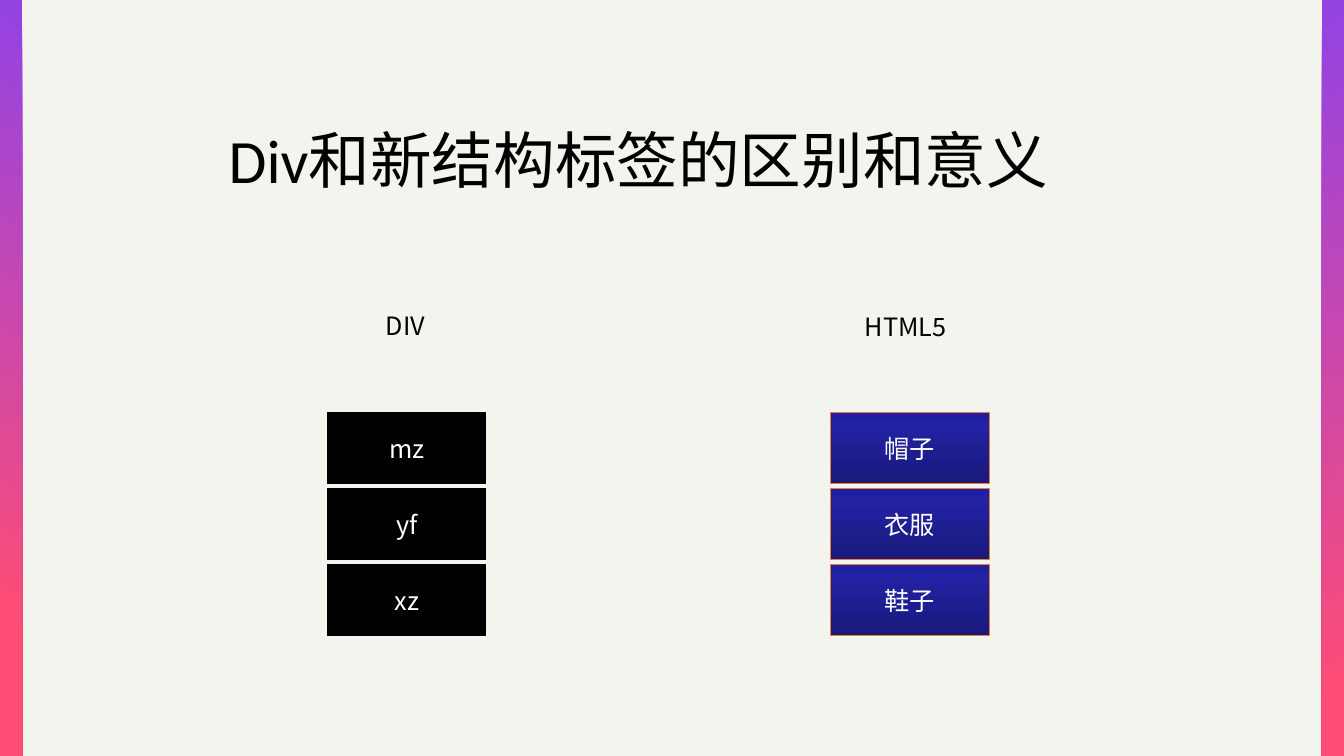
import dataclasses
import typing

import pptx
import pptx.dml.color
import pptx.enum.shapes
import pptx.enum.text
import pptx.oxml
import pptx.oxml.ns
import pptx.util

ALIGN = pptx.enum.text.PP_ALIGN
ANCHOR = pptx.enum.text.MSO_ANCHOR
RECT = pptx.enum.shapes.MSO_SHAPE.RECTANGLE
Stops = typing.Tuple[typing.Tuple[int, str], ...]


@dataclasses.dataclass(frozen=True)
class Theme:
    paper: str = "F3F4EE"
    ink: str = "000000"
    light: str = "FFFFFF"
    edge: str = "ED7D31"
    violet: str = "9443E2"
    coral: str = "FF4D75"
    navy: Stops = ((0, "19197C"), (80, "2222A2"), (100, "1F1FA5"))
    latin: str = "Calibri"
    sans: str = "Noto Sans CJK SC"
    head: int = 44
    body: int = 18


@dataclasses.dataclass(frozen=True)
class Area:
    """Left, top, width and height in percent of the slide."""
    left: float
    top: float
    width: float
    height: float


@dataclasses.dataclass(frozen=True)
class Bar:
    area: Area
    stops: Stops
    angle: int


@dataclasses.dataclass(frozen=True)
class Stack:
    title: str
    label: Area
    left: float
    items: typing.Tuple[str, ...]
    fill: typing.Union[str, Stops]
    line: str
    font: str


THEME = Theme()
deck = pptx.Presentation()
deck.slide_width = pptx.util.Inches(13.33)
deck.slide_height = pptx.util.Inches(7.5)
slide = deck.slides.add_slide(deck.slide_layouts[6])


def color(code: str) -> pptx.dml.color.RGBColor:
    return pptx.dml.color.RGBColor.from_string(code)


def place(area: Area) -> typing.Tuple[int, int, int, int]:
    wide, high = deck.slide_width / 100, deck.slide_height / 100
    return (round(area.left * wide), round(area.top * high),
            round(area.width * wide), round(area.height * high))


def blend(shape, stops: Stops, angle: int) -> None:
    """Fill with a gradient; the angle runs counter-clockwise."""
    shape.fill.gradient()
    shape.fill.gradient_angle = angle
    stop_list = shape._element.spPr.find(".//" + pptx.oxml.ns.qn("a:gsLst"))
    for old in list(stop_list):
        stop_list.remove(old)
    for share, code in stops:
        stop_list.append(pptx.oxml.parse_xml(
            f'<a:gs {pptx.oxml.ns.nsdecls("a")} pos="{share * 1000}">'
            f'<a:srgbClr val="{code}"/></a:gs>'))


def block(area: Area, fill: typing.Union[str, Stops], angle: int = 90,
          line: typing.Optional[str] = None):
    shape = slide.shapes.add_shape(RECT, *place(area))
    shape.shadow.inherit = False
    if isinstance(fill, str):
        shape.fill.solid()
        shape.fill.fore_color.rgb = color(fill)
    else:
        blend(shape, fill, angle)
    if line:
        shape.line.color.rgb = color(line)
        shape.line.width = pptx.util.Pt(0.75)
    else:
        shape.line.fill.background()
    return shape


def write(shape, text: str, font: str, size: int, ink: str,
          align=ALIGN.LEFT, anchor=ANCHOR.MIDDLE, wrap: bool = True):
    frame = shape.text_frame
    frame.word_wrap = wrap
    frame.vertical_anchor = anchor
    para = frame.paragraphs[0]
    para.text = text
    para.alignment = align
    para.font.name = font
    para.font.size = pptx.util.Pt(size)
    para.font.color.rgb = color(ink)
    return para


def draw(stack: Stack) -> None:
    for row, item in enumerate(stack.items):
        area = Area(stack.left, 54.53 + 10.05 * row, 11.78, 9.47)
        shape = block(area, stack.fill, line=stack.line)
        write(shape, item, stack.font, THEME.body, THEME.light, ALIGN.CENTER)
    label = slide.shapes.add_textbox(*place(stack.label))
    write(label, stack.title, THEME.sans, THEME.body, THEME.ink,
          anchor=ANCHOR.TOP, wrap=False)


# Background and side bars
block(Area(0, 0, 100, 100), THEME.paper)
EDGE = 1.65
BARS = (
    Bar(Area(0, 0, EDGE, 100), ((2, THEME.violet), (82, THEME.coral)), 240),
    Bar(Area(100 - EDGE, 0, EDGE, 100),
        ((2, THEME.violet), (92, THEME.coral)), 300),
)
for bar in BARS:
    block(bar.area, bar.stops, bar.angle)

# Title
title = slide.shapes.add_textbox(*place(Area(16.28, 13.33, 67.52, 16.67)))
write(title, "Div和新结构标签的区别和意义", THEME.latin, THEME.head,
      THEME.ink).line_spacing = 0.9

# Two labelled stacks
STACKS = (
    Stack("DIV", Area(27.98, 40.4, 4.73, 5.33), 24.38, ("mz", "yf", "xz"),
          THEME.ink, THEME.ink, THEME.sans),
    Stack("HTML5", Area(63.62, 40.53, 7.95, 5.33), 61.82,
          ("帽子", "衣服", "鞋子"), THEME.navy, THEME.edge, THEME.latin),
)
for stack in STACKS:
    draw(stack)

deck.save("out.pptx")
